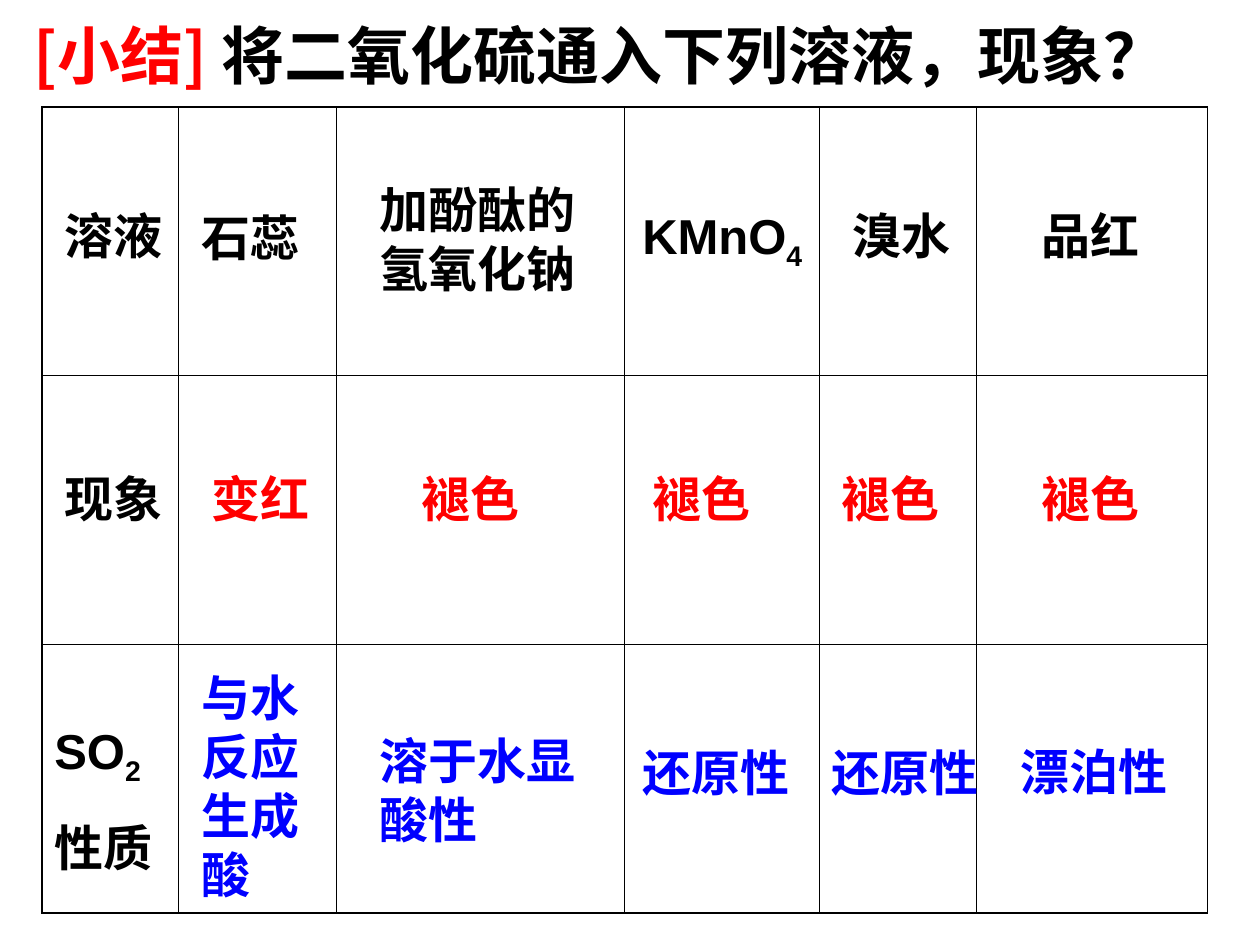
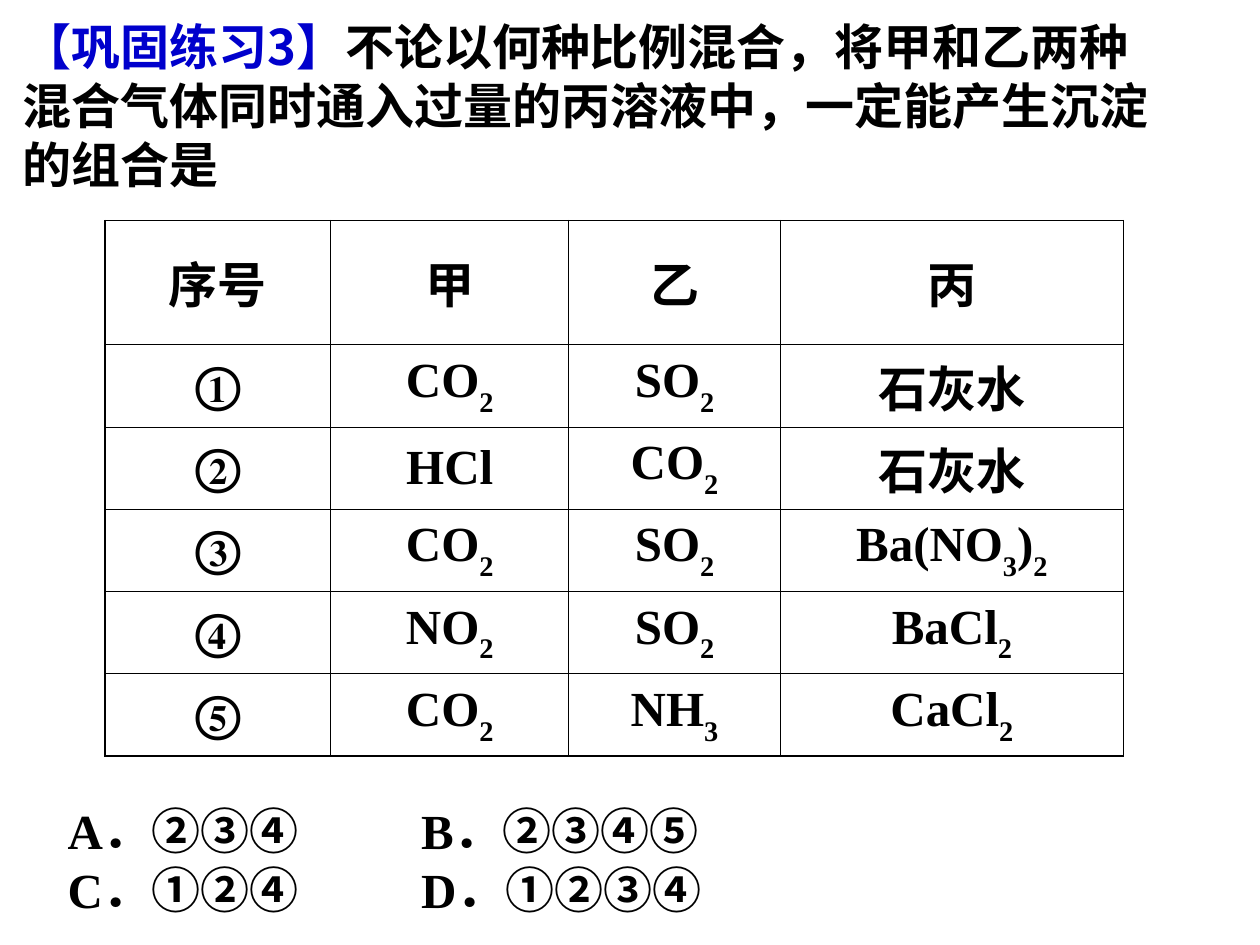
from itertools import groupby

from lxml import etree
from pptx import Presentation
from pptx.dml.color import RGBColor
from pptx.enum.text import MSO_ANCHOR, PP_ALIGN
from pptx.oxml.ns import qn
from pptx.util import Pt

BLACK = RGBColor(0x00, 0x00, 0x00)
RED = RGBColor(0xFF, 0x00, 0x00)
BLUE = RGBColor(0x00, 0x00, 0xFF)
DARK_BLUE = RGBColor(0x00, 0x00, 0xCC)

SANS = "Arial"
SERIF = "Times New Roman"
CJK = "Noto Sans CJK SC"

CENTER = PP_ALIGN.CENTER
JUSTIFY = PP_ALIGN.JUSTIFY
TOP = MSO_ANCHOR.TOP
MIDDLE = MSO_ANCHOR.MIDDLE

BODY_SIZE = 28
TITLE_SIZE = 36
THIN_LINE = 0.45
DIGITS = "0123456789"

# Heading, left, top, width
SOLUTIONS = [
    ("溶液", 30, 114, 108),
    ("石蕊", 108, 115, 132),
    ("加酚酞的氢氧化钠", 210, 99, 132),
    ("KMnO4", 360, 114, 120),
    ("溴水", 480, 114, 120),
    ("品红", 588, 114, 96),
]
# Observation, left, colour
PHENOMENA_TOP = 264
PHENOMENA = [
    ("现象", 30, BLACK),
    ("变红", 114, RED),
    ("褪色", 234, RED),
    ("褪色", 366, RED),
    ("褪色", 474, RED),
    ("褪色", 588, RED),
]
# Property, left, top, width
PROPERTIES = [
    ("与水反应生成酸", 108, 378, 72),
    ("溶于水显酸性", 210, 414, 150),
    ("还原性", 360, 421, 150),
    ("还原性", 468, 421, 150),
    ("漂泊性", 576, 420, 144),
]
GAS_MIXTURES = [
    ("序号", "甲", "乙", "丙"),
    ("①", "CO2", "SO2", "石灰水"),
    ("②", "HCl", "CO2", "石灰水"),
    ("③", "CO2", "SO2", "Ba(NO3)2"),
    ("④", "NO2", "SO2", "BaCl2"),
    ("⑤", "CO2", "NH3", "CaCl2"),
]
ANSWERS = [
    (("A．", "②③④"), ("B．", "②③④⑤")),
    (("C．", "①②④"), ("D．", "①②③④")),
]


def add_run(paragraph, text, font, color=BLACK, size=BODY_SIZE, east=CJK, baseline=0):
    """Add bold text; east is the font for Chinese characters."""
    run = paragraph.add_run()
    run.text = text
    run.font.name = font
    run.font.size = Pt(size)
    run.font.bold = True
    run.font.color.rgb = color
    properties = run.font._element
    latin = properties.find(qn("a:latin"))
    east_asian = etree.Element(qn("a:ea"), typeface=east)
    latin.addnext(east_asian)
    if baseline:
        properties.set("baseline", str(baseline * 1000))


def add_formula(paragraph, text, font, color=BLACK, baseline=-25, east=CJK):
    """Add text whose digits are set as subscripts."""
    for is_index, letters in groupby(text, lambda letter: letter in DIGITS):
        add_run(paragraph, "".join(letters), font, color, east=east,
                baseline=baseline if is_index else 0)


def add_text_frame(slide, left, top, width, height, anchor=TOP):
    frame = slide.shapes.add_textbox(Pt(left), Pt(top), Pt(width), Pt(height)).text_frame
    frame.word_wrap = True
    frame.vertical_anchor = anchor
    return frame


def add_label(slide, text, left, top, width, color=BLACK):
    """Add a label of one or more lines over the summary grid."""
    frame = add_text_frame(slide, left, top, width, 41)
    for index, line in enumerate(text.split("\n")):
        paragraph = frame.add_paragraph() if index else frame.paragraphs[0]
        if index:
            paragraph.space_before = Pt(17.5)
        add_formula(paragraph, line, SANS, color)


def add_border(cell, side, width):
    line = etree.SubElement(cell._tc.get_or_add_tcPr(), qn(f"a:ln{side}"), w=str(Pt(width)))
    fill = etree.SubElement(line, qn("a:solidFill"))
    etree.SubElement(fill, qn("a:srgbClr"), val=str(BLACK))


def add_ruled_table(slide, left, top, widths, heights, frame_width):
    """Add an unfilled table with thin rules inside a heavier frame."""
    table = slide.shapes.add_table(len(heights), len(widths), Pt(left), Pt(top),
                                   Pt(sum(widths)), Pt(sum(heights))).table
    table.first_row = table.horz_banding = False
    for column, width in zip(table.columns, widths):
        column.width = Pt(width)
    for row, height in zip(table.rows, heights):
        row.height = Pt(height)
    last_row, last_column = len(heights) - 1, len(widths) - 1
    for r in range(len(heights)):
        for c in range(len(widths)):
            cell = table.cell(r, c)
            on_frame = {"L": c == 0, "R": c == last_column, "T": r == 0, "B": r == last_row}
            for side, is_outer in on_frame.items():
                add_border(cell, side, frame_width if is_outer else THIN_LINE)
            cell.fill.background()
    return table


def build_summary(slide):
    add_ruled_table(slide, 24, 61.2, [78, 90, 165, 111, 90, 132], [153.5] * 3, 1.08)
    for text, left, top, width in SOLUTIONS:
        add_label(slide, text, left, top, width)
    for text, left, color in PHENOMENA:
        add_label(slide, text, left, PHENOMENA_TOP, 108, color)
    add_label(slide, "SO2\n性质", 24, 408, 108)
    for text, left, top, width in PROPERTIES:
        add_label(slide, text, left, top, width, BLUE)

    title = add_text_frame(slide, 12, 6, 708, 50).paragraphs[0]
    title.alignment = JUSTIFY
    add_run(title, "[小结] ", CJK, RED, TITLE_SIZE)
    add_run(title, "将二氧化硫通入下列溶液，现象？", CJK, BLACK, TITLE_SIZE)


def add_answers(slide):
    frame = add_text_frame(slide, 12, 453.6, 708, 75, MIDDLE)
    frame.margin_left = Pt(26.6)
    for index, choices in enumerate(ANSWERS):
        paragraph = frame.add_paragraph() if index else frame.paragraphs[0]
        tabs = etree.SubElement(paragraph._p.get_or_add_pPr(), qn("a:tabLst"))
        etree.SubElement(tabs, qn("a:tab"), pos=str(Pt(202)), algn="l")
        for position, (letter, numbers) in enumerate(choices):
            add_run(paragraph, "\t" * position + letter, SERIF)
            add_run(paragraph, numbers, SANS)


def build_exercise(slide):
    question = add_text_frame(slide, 6, 6, 660, 108, MIDDLE).paragraphs[0]
    add_run(question, "【巩固练习3】", CJK, DARK_BLUE)
    add_run(question, "不论以何种比例混合，将甲和乙两种混合气体同时通入过量的丙溶液中，"
                      "一定能产生沉淀的组合是", SERIF)

    table = add_ruled_table(slide, 60, 126, [129, 136, 121, 196], [71] + [47] * 5, 0.96)
    for r, mixture in enumerate(GAS_MIXTURES):
        for c, text in enumerate(mixture):
            cell = table.cell(r, c)
            cell.vertical_anchor = MIDDLE
            paragraph = cell.text_frame.paragraphs[0]
            paragraph.alignment = CENTER
            is_number = r > 0 and c == 0
            add_formula(paragraph, text, SERIF, baseline=-30, east=SERIF if is_number else CJK)
    add_answers(slide)


def main():
    deck = Presentation()
    deck.slide_width, deck.slide_height = Pt(720), Pt(540)
    blank = deck.slide_layouts[6]
    for build in (build_summary, build_exercise):
        build(deck.slides.add_slide(blank))
    deck.save("out.pptx")


if __name__ == "__main__":
    main()
